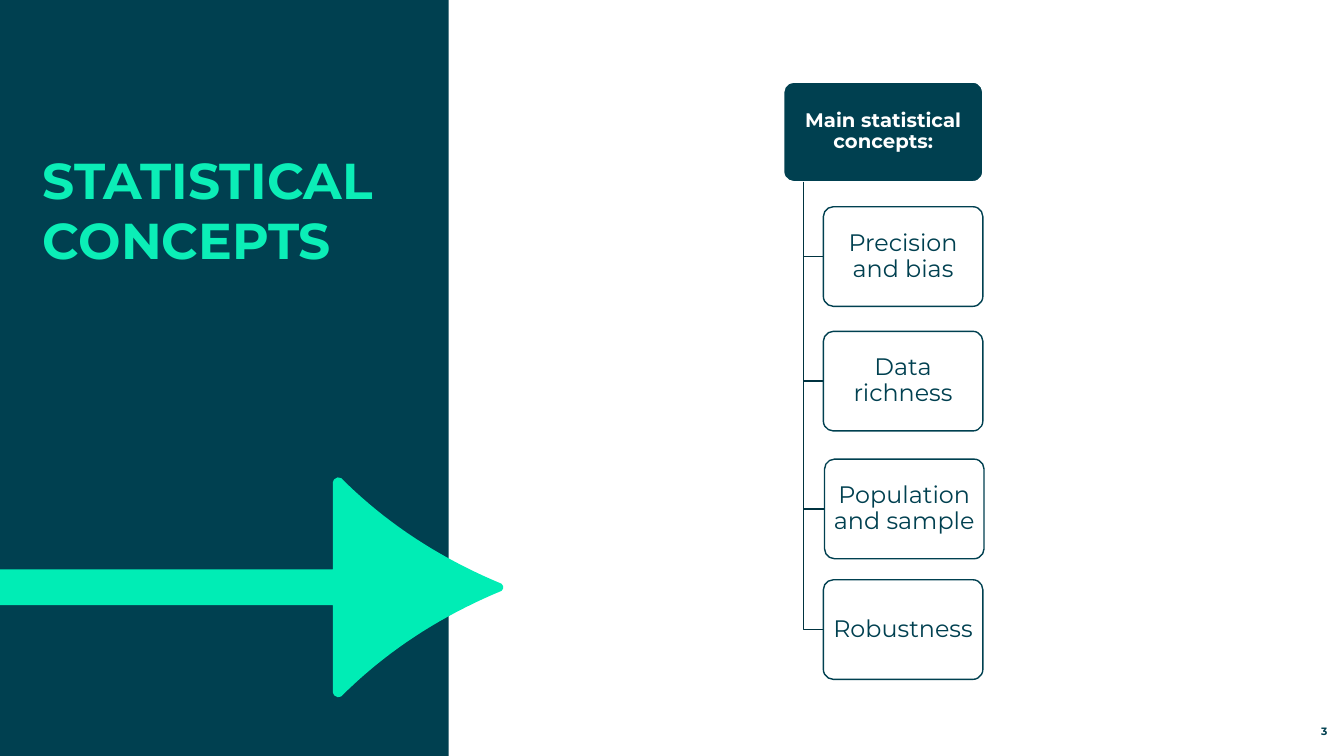
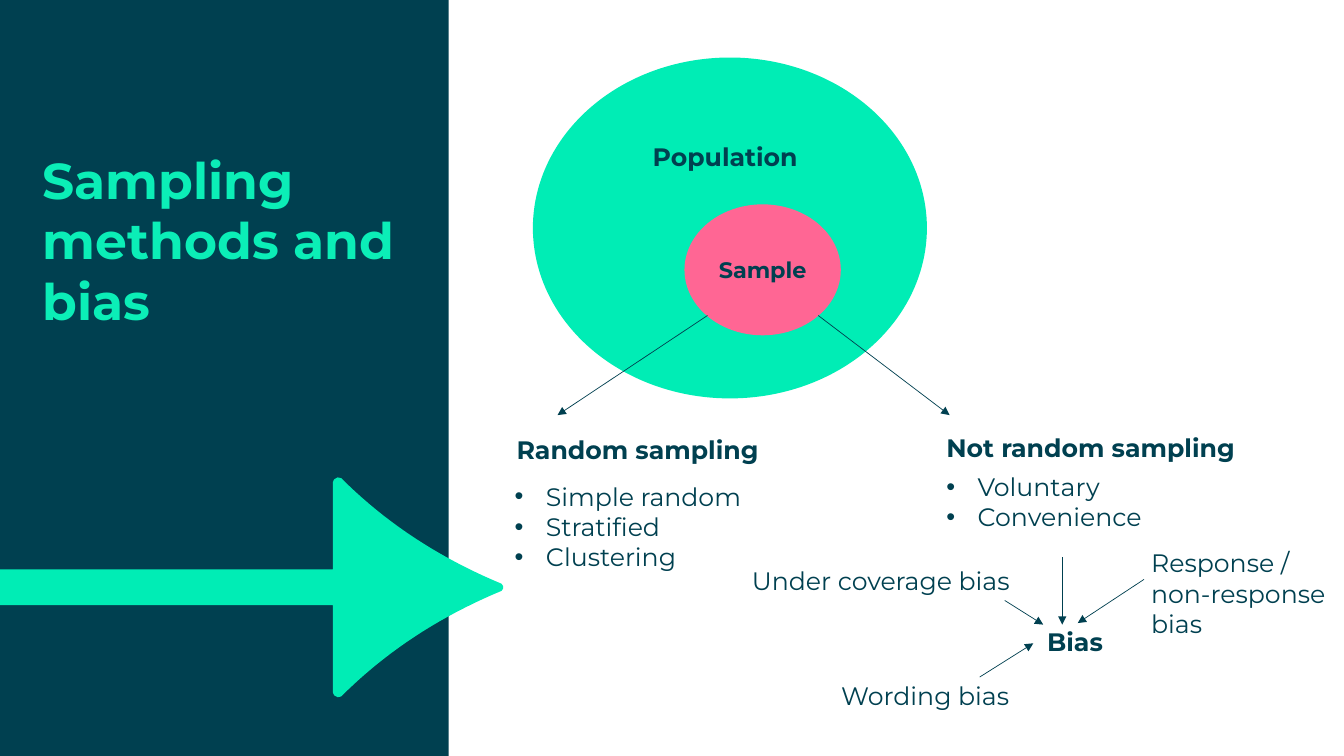
"""Two slides on statistical concepts and sampling methods."""
from dataclasses import dataclass

from lxml import etree
from pptx import Presentation
from pptx import util as u
from pptx.dml.color import RGBColor
from pptx.enum import shapes, text
from pptx.oxml import ns

DARK, GREEN, TITLE = "004050", "00EDB5", "0BEEB7"
PINK, WHITE, TRUNK = "FF6694", "FFFFFF", "003340"
FONT = "Montserrat"
LEFT, MID, RIGHT = text.PP_ALIGN.LEFT, text.PP_ALIGN.CENTER, text.PP_ALIGN.RIGHT
TOP, CORE, BASE = (text.MSO_ANCHOR.TOP, text.MSO_ANCHOR.MIDDLE,
                   text.MSO_ANCHOR.BOTTOM)
ROUND, OVAL, RECT = (shapes.MSO_SHAPE.ROUNDED_RECTANGLE, shapes.MSO_SHAPE.OVAL,
                     shapes.MSO_SHAPE.RECTANGLE)

AXIS = 14.8
SHAFT = [(0, 14.35), (8.39, 14.35), (8.39, 12.15), (8.42, 12.08), (8.51, 12.03)]
CURVE = [(8.6, 12.05), (10.28, 13.73), (12.64, 14.71)]
POINT = (12.68, 14.77)


@dataclass
class Style:
    """Look of a block of text."""
    size: float = 18
    bold: bool = False
    color: str = DARK
    align: int = LEFT
    anchor: int = TOP
    inset: float = 0
    space: float = 1
    bullet: bool = False


@dataclass
class Label:
    """Text placed on a slide, in centimetres."""
    x: float
    y: float
    w: float
    h: float
    lines: list[str]
    style: Style


@dataclass
class Line:
    """Straight line from one point to another, in centimetres."""
    x: float
    y: float
    to_x: float
    to_y: float


@dataclass
class Node:
    """Box that hangs from the stem, in centimetres."""
    x: float
    y: float
    words: str


PLAIN, BOLD, LIST = Style(), Style(bold=True), Style(bullet=True)
HEAD = Style(36, True, TITLE)
NODE = Style(17, align=MID, anchor=CORE, inset=0.05, space=0.9)
ROOT = Style(14, True, WHITE, MID, CORE, 0.1, 0.9)

NODES = [
    Node(20.75, 5.21, "Precision and bias"),
    Node(20.75, 8.35, "Data richness"),
    Node(20.78, 11.57, "Population and sample"),
    Node(20.75, 14.61, "Robustness"),
]
LABELS = [
    Label(16.45, 3.56, 5, 0.9, ["Population"], BOLD),
    Label(13.02, 10.95, 8, 0.9, ["Random sampling"], BOLD),
    Label(23.85, 10.9, 9, 0.9, ["Not random sampling"], BOLD),
    Label(12.97, 12.12, 7, 2.5,
          ["Simple random", "Stratified", "Clustering"], LIST),
    Label(23.85, 11.88, 7, 1.7, ["Voluntary", "Convenience"], LIST),
    Label(26.39, 15.78, 2.5, 0.9, ["Bias"], BOLD),
    Label(18.95, 14.25, 7.5, 0.9, ["Under coverage bias"], PLAIN),
    Label(29.01, 13.8, 4.8, 2.4, ["Response /", "non-response", "bias"], PLAIN),
    Label(21.2, 17.15, 5.5, 0.9, ["Wording bias"], PLAIN),
]
ARROWS = [
    Line(17.83, 7.95, 14.05, 10.46), Line(20.62, 7.95, 23.93, 10.46),
    Line(26.77, 14.04, 26.77, 15.74), Line(24.69, 17.06, 26.04, 16.21),
    Line(28.83, 14.6, 27.16, 15.7), Line(25.32, 15.13, 26.29, 15.74),
]


def paint(kind, color: str) -> None:
    """Give a fill a solid colour."""
    kind.solid()
    kind.fore_color.rgb = RGBColor.from_string(color)


def write(frame, lines: list[str], style: Style) -> None:
    """Fill a text frame with one paragraph per line."""
    frame.word_wrap = True
    frame.auto_size = text.MSO_AUTO_SIZE.NONE
    frame.vertical_anchor = style.anchor
    frame.margin_left = frame.margin_right = u.Cm(style.inset)
    frame.margin_top = frame.margin_bottom = u.Cm(style.inset)
    frame.text = "\n".join(lines)
    for para in frame.paragraphs:
        if style.bullet:
            props = para._p.get_or_add_pPr()
            props.set("marL", str(u.Cm(0.79)))
            props.set("indent", str(-u.Cm(0.79)))
            etree.SubElement(props, ns.qn("a:buFont"), typeface="Arial")
            etree.SubElement(props, ns.qn("a:buChar"), char="•")
        para.alignment = style.align
        para.line_spacing = style.space
        font = para.font
        font.name, font.size, font.bold = FONT, u.Pt(style.size), style.bold
        paint(font.fill, style.color)


def put(slide, label: Label) -> None:
    """Add a text box."""
    box = slide.shapes.add_textbox(*map(u.Cm, (label.x, label.y, label.w, label.h)))
    write(box.text_frame, label.lines, label.style)


def block(slide, kind: int, area: tuple, fill: str, line: str = ""):
    """Add a filled preset shape, outlined when a line colour is given."""
    shape = slide.shapes.add_shape(kind, *map(u.Cm, area))
    shape.shadow.inherit = False
    paint(shape.fill, fill)
    if line:
        paint(shape.line.fill, line)
        shape.line.width = u.Pt(1)
    else:
        shape.line.fill.background()
    return shape


def card(slide, area: tuple, words: str, fill: str, line: str,
         style: Style) -> None:
    """Add a rounded box with text."""
    box = block(slide, ROUND, area, fill, line)
    box.adjustments[0] = 0.1
    write(box.text_frame, [words], style)


def link(slide, line: Line) -> None:
    """Add a thin arrow."""
    ends = map(u.Cm, (line.x, line.y, line.to_x, line.to_y))
    conn = slide.shapes.add_connector(shapes.MSO_CONNECTOR.STRAIGHT, *ends)
    paint(conn.line.fill, DARK)
    conn.line.width = u.Pt(0.5)
    etree.SubElement(conn.line._get_or_add_ln(), ns.qn("a:tailEnd"),
                     type="triangle")
    etree.SubElement(conn._element.spPr, ns.qn("a:effectLst"))


def trace(slide, dots: list[tuple], close: bool):
    """Add a freeform through points in centimetres."""
    first, *rest = [(u.Cm(x), u.Cm(y)) for x, y in dots]
    form = slide.shapes.build_freeform(*first)
    form.add_line_segments(rest, close=close)
    shape = form.convert_to_shape()
    shape.shadow.inherit = False
    return shape


def bend(step: float) -> tuple:
    """Give the point of the curved edge at a step from 0 to 1."""
    back = 1 - step
    return tuple(back * back * a + 2 * back * step * b + step * step * c
                 for a, b, c in zip(*CURVE))


def pointer(slide):
    """Draw the big arrow, mirrored about its axis."""
    edge = SHAFT + [bend(i / 20) for i in range(21)] + [POINT]
    both = edge + [(x, 2 * AXIS - y) for x, y in reversed(edge)]
    shape = trace(slide, both, True)
    paint(shape.fill, GREEN)
    shape.line.fill.background()
    return shape


def elbow(slide, dots: list[tuple]) -> None:
    """Draw an open bent line."""
    shape = trace(slide, dots, False)
    shape.fill.background()
    paint(shape.line.fill, TRUNK)
    shape.line.width = u.Pt(1)


def dress(layout, slide) -> None:
    """Move the side band and the big arrow into the layout."""
    for spot in list(layout.placeholders):
        if spot.placeholder_format.idx >= 10:
            layout.shapes.element.remove(spot.element)
    band = block(slide, RECT, (0, 0, 11.31, 19.05), DARK)
    for rank, part in enumerate([band, pointer(slide)], 2):
        layout.shapes.element.insert(rank, part.element)


def head(slide, words: str) -> None:
    """Place and format the title."""
    title = slide.shapes.title
    title.left, title.top = u.Cm(1.07), u.Cm(3.75)
    title.width, title.height = u.Cm(9.58), u.Cm(7.65)
    write(title.text_frame, [words], HEAD)


def tree(slide) -> None:
    """Draw the list of concepts hanging from its root."""
    head(slide, "STATISTICAL CONCEPTS")
    tall, stem, top = 2.51, 20.25, 4.58
    card(slide, (19.75, 2.07, 5.02, tall), "Main statistical concepts:",
         DARK, WHITE, ROOT)
    for node in NODES:
        half = node.y + tall / 2
        elbow(slide, [(stem, top), (stem, half), (node.x, half)])
        card(slide, (node.x, node.y, 4.02, tall), node.words, WHITE, DARK, NODE)
    put(slide, Label(31.27, 18.08, 2.18, 0.51, ["3"],
                     Style(7.6, True, align=RIGHT, anchor=BASE)))


def sampling(slide) -> None:
    """Draw the population, its sample and the sources of bias."""
    head(slide, "Sampling methods and bias")
    block(slide, OVAL, (13.43, 1.45, 9.93, 8.59), GREEN)
    core = block(slide, OVAL, (17.25, 5.15, 3.94, 3.3), PINK)
    write(core.text_frame, ["Sample"], Style(16, True, align=MID, anchor=CORE))
    for arrow in ARROWS:
        link(slide, arrow)
    for label in LABELS:
        put(slide, label)


def main() -> None:
    """Build and save the slides."""
    deck = Presentation()
    deck.slide_width, deck.slide_height = u.Cm(33.87), u.Cm(19.05)
    layout = deck.slide_layouts[5]
    first = deck.slides.add_slide(layout)
    dress(layout, first)
    tree(first)
    sampling(deck.slides.add_slide(layout))
    deck.save("out.pptx")


if __name__ == "__main__":
    main()
